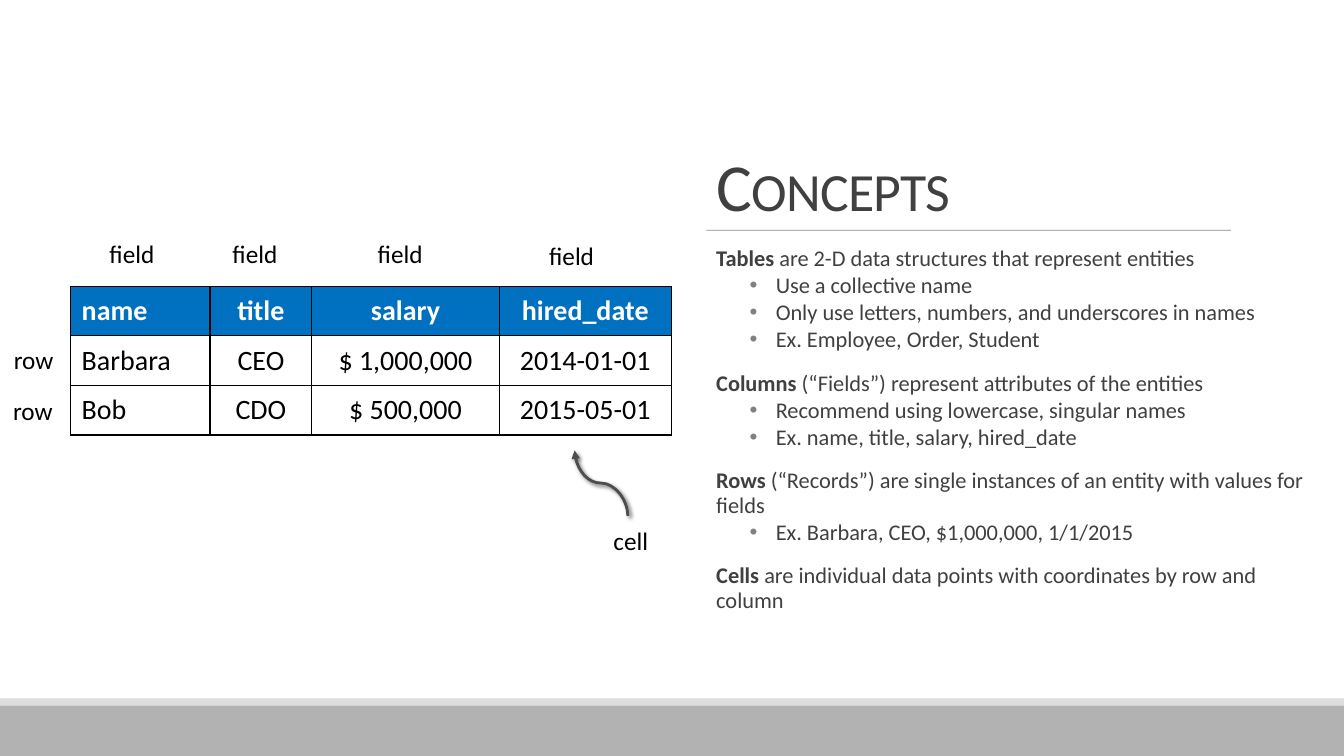
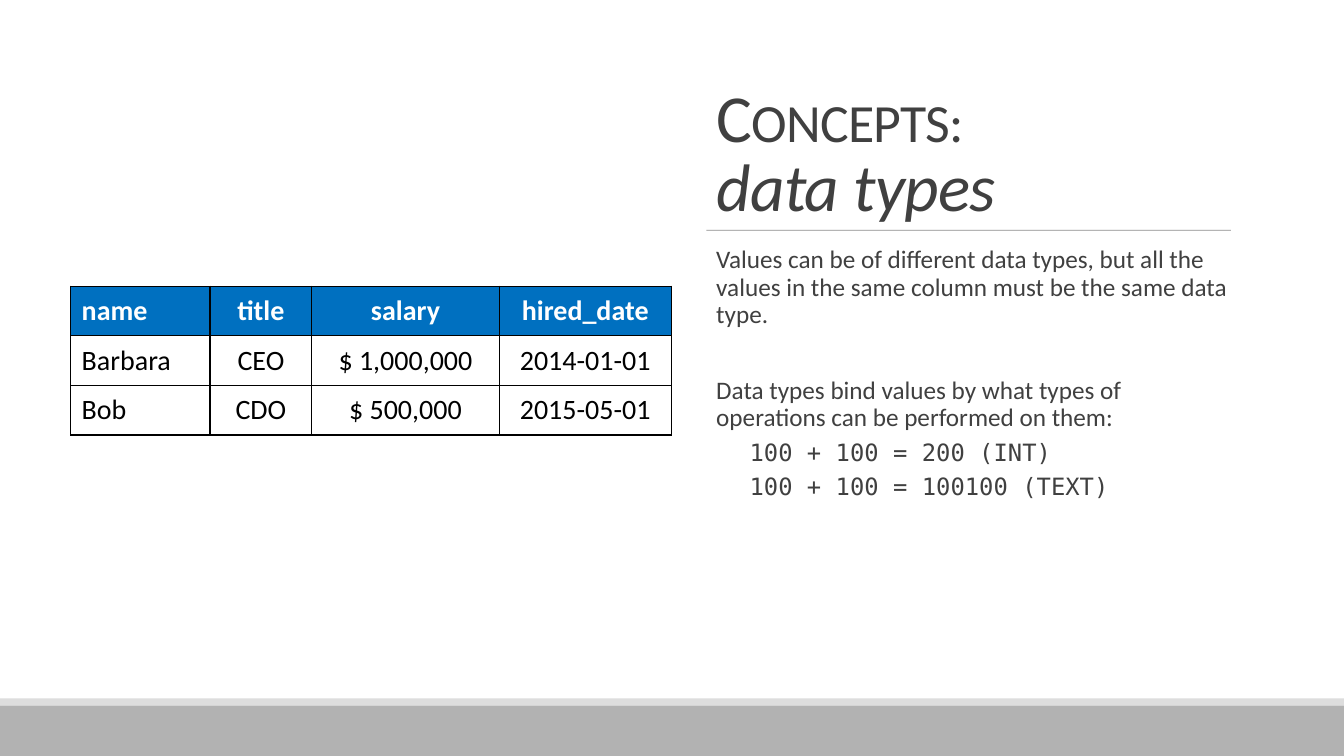
"""Build two slides on database concepts: tables, fields, rows, cells and data types."""
from lxml import etree
from pptx import Presentation
from pptx.dml.color import RGBColor
from pptx.enum.shapes import MSO_CONNECTOR, MSO_SHAPE
from pptx.enum.text import MSO_ANCHOR, MSO_AUTO_SIZE, PP_ALIGN
from pptx.oxml.ns import qn
from pptx.util import Cm, Pt

RECTANGLE = MSO_SHAPE.RECTANGLE
STRAIGHT, CURVE = MSO_CONNECTOR.STRAIGHT, MSO_CONNECTOR.CURVE
LEFT, CENTER = PP_ALIGN.LEFT, PP_ALIGN.CENTER
BOTTOM, MIDDLE, TOP = MSO_ANCHOR.BOTTOM, MSO_ANCHOR.MIDDLE, MSO_ANCHOR.TOP
NO_AUTOFIT = MSO_AUTO_SIZE.NONE

BLACK = RGBColor(0x00, 0x00, 0x00)
WHITE = RGBColor(0xFF, 0xFF, 0xFF)
TEXT_GREY = RGBColor(0x40, 0x40, 0x40)
ARROW_GREY = RGBColor(0x4D, 0x4D, 0x4D)
RULE_GREY = RGBColor(0x80, 0x80, 0x80)
BAND_GREY = RGBColor(0xB2, 0xB2, 0xB2)
EDGE_GREY = RGBColor(0xDD, 0xDD, 0xDD)
HEADER_BLUE = RGBColor(0x00, 0x70, 0xC0)

SANS, MONO = "Calibri", "DejaVu Sans Mono"
SLIDE_WIDTH, SLIDE_HEIGHT = 33.87, 19.05
TEXT_LEFT, RULE_TOP, RULE_RIGHT = 17.8, 5.8, 31.02
BANDS = [(17.6, 0.18, EDGE_GREY), (17.78, 1.27, BAND_GREY)]

EMPLOYEES = [
    ("name", "title", "salary", "hired_date"),
    ("Barbara", "CEO", "$ 1,000,000", "2014-01-01"),
    ("Bob", "CDO", "$ 500,000", "2015-05-01"),
]
TABLE_LEFT, TABLE_TOP, ROW_HEIGHT = 1.78, 7.21, 1.25
COLUMN_WIDTHS = [3.51, 2.57, 4.72, 4.34]

TABLE_LABELS = [
    ("cell", 15.21, 13.11, 1.4),
    ("row", 0.1, 8.56, 1.52),
    ("row", 0.08, 9.83, 1.52),
    ("field", 2.51, 5.89, 1.98),
    ("field", 5.61, 5.89, 1.98),
    ("field", 9.27, 5.89, 1.98),
    ("field", 13.59, 5.92, 1.98),
]
CELL_ARROW = {"start": (15.82, 13.0), "end": (14.48, 11.35)}

STYLES = {
    "term": {"size": 16, "indent": 0.25, "before": 12, "after": 2},
    "point": {"size": 16, "level": 1, "indent": 1.75, "hanging": 0.66, "after": 2},
    "statement": {"size": 18, "indent": 0.25, "before": 31, "after": 4},
    "code": {"size": 17, "font": MONO, "level": 1, "indent": 1.09, "before": 2, "after": 4},
}

CONCEPTS = {
    "title": [("Concepts", True)],
    "body_width": 15.14,
    "body": [
        ("term", "Tables", " are 2-D data structures that represent entities"),
        ("point", "", "Use a collective name"),
        ("point", "", "Only use letters, numbers, and underscores in names"),
        ("point", "", "Ex. Employee, Order, Student"),
        ("term", "Columns", " (“Fields”) represent attributes of the entities"),
        ("point", "", "Recommend using lowercase, singular names"),
        ("point", "", "Ex. name, title, salary, hired_date"),
        ("term", "Rows", " (“Records”) are single instances of an entity with values for fields"),
        ("point", "", "Ex. Barbara, CEO, $1,000,000, 1/1/2015"),
        ("term", "Cells", " are individual data points with coordinates by row and column"),
    ],
}
DATA_TYPES = {
    "title": [("Concepts:", True), ("data types", False)],
    "body_width": 13.2,
    "body": [
        ("statement", "", "Values can be of different data types, but all the values "
                          "in the same column must be the same data type."),
        ("statement", "", "Data types bind values by what types of operations "
                          "can be performed on them:"),
        ("code", "", "100 + 100 = 200 (INT)"),
        ("code", "", "100 + 100 = 100100 (TEXT)"),
    ],
}


def add_xml(parent, tag, **attributes):
    return etree.SubElement(parent, qn(tag), attributes)


def write(paragraph, text, *, size, color=BLACK, font=SANS, bold=False, italic=False,
          align=LEFT, small_caps=False, tracking=0):
    paragraph.alignment = align
    run = paragraph.add_run()
    run.text = text
    run.font.name, run.font.size = font, Pt(size)
    run.font.bold, run.font.italic = bold, italic
    run.font.color.rgb = color
    properties = run.font._element if hasattr(run.font, "_element") else run._r.get_or_add_rPr()
    if small_caps:
        properties.set("cap", "small")
    if tracking:
        properties.set("spc", str(int(tracking * 100)))


def place(shape, left, top, width, height):
    shape.left, shape.top = Cm(left), Cm(top)
    shape.width, shape.height = Cm(width), Cm(height)


def add_line(slide, kind, start, end, color, width):
    line = slide.shapes.add_connector(kind, *(Cm(value) for value in (*start, *end)))
    line.line.color.rgb = color
    line.line.width = Pt(width)
    return line, add_xml(line.element.spPr, "a:effectLst")


def add_title(slide, lines):
    title = slide.shapes.title
    place(title, TEXT_LEFT, 1.75, 14.25, 4.05)
    frame = title.text_frame
    frame.vertical_anchor, frame.auto_size = BOTTOM, NO_AUTOFIT
    paragraph = frame.paragraphs[0]
    paragraph.line_spacing = 0.85
    for index, (text, is_topic) in enumerate(lines):
        if index:
            paragraph.add_line_break()
        write(paragraph, text, size=48, color=TEXT_GREY, small_caps=is_topic,
              italic=not is_topic, tracking=-0.5)


def add_body(slide, entries, width):
    body = slide.placeholders[1]
    place(body, TEXT_LEFT, 6.1, width, 10.77)
    frame = body.text_frame
    frame.margin_left = frame.margin_right = 0
    frame.vertical_anchor, frame.auto_size = TOP, NO_AUTOFIT
    for index, (kind, lead, rest) in enumerate(entries):
        style = STYLES[kind]
        paragraph = frame.add_paragraph() if index else frame.paragraphs[0]
        paragraph.level = style.get("level", 0)
        paragraph.line_spacing = 0.9
        paragraph.space_before = Pt(style.get("before", 0) if index else 0)
        paragraph.space_after = Pt(style["after"])
        properties = paragraph._p.get_or_add_pPr()
        hanging = style.get("hanging", 0)
        properties.set("marL", str(Cm(style["indent"])))
        properties.set("indent", str(-Cm(hanging)))
        if hanging:
            add_xml(add_xml(properties, "a:buClr"), "a:srgbClr", val=str(RULE_GREY))
            add_xml(properties, "a:buChar", char="•")
        else:
            add_xml(properties, "a:buNone")
        for text, bold in ((lead, True), (rest, False)):
            if text:
                write(paragraph, text, size=style["size"], color=TEXT_GREY,
                      font=style.get("font", SANS), bold=bold)


def add_frame(slide):
    rule, _ = add_line(slide, STRAIGHT, (TEXT_LEFT, RULE_TOP), (RULE_RIGHT, RULE_TOP),
                       RULE_GREY, 0.5)
    add_xml(rule.element.spPr.find(".//" + qn("a:srgbClr")), "a:alpha", val="90000")
    for top, height, color in BANDS:
        band = slide.shapes.add_shape(RECTANGLE, 0, Cm(top), Cm(SLIDE_WIDTH), Cm(height))
        band.shadow.inherit = False
        band.fill.solid()
        band.fill.fore_color.rgb = color
        band.line.fill.background()


def add_employee_table(slide):
    table = slide.shapes.add_table(
        len(EMPLOYEES), len(COLUMN_WIDTHS), Cm(TABLE_LEFT), Cm(TABLE_TOP),
        Cm(sum(COLUMN_WIDTHS)), Cm(ROW_HEIGHT * len(EMPLOYEES))).table
    table.horz_banding = False
    for column, width in zip(table.columns, COLUMN_WIDTHS):
        column.width = Cm(width)
    for row_index, record in enumerate(EMPLOYEES):
        table.rows[row_index].height = Cm(ROW_HEIGHT)
        is_header = row_index == 0
        for column_index, value in enumerate(record):
            cell = table.cell(row_index, column_index)
            cell.vertical_anchor = MIDDLE
            cell.margin_left = cell.margin_right = Cm(0.28)
            cell.margin_top = cell.margin_bottom = Cm(0.14)
            for side in ("a:lnL", "a:lnR", "a:lnT", "a:lnB"):
                border = add_xml(cell._tc.get_or_add_tcPr(), side, w=str(Pt(1)))
                add_xml(add_xml(border, "a:solidFill"), "a:srgbClr", val=str(BLACK))
            if is_header:
                cell.fill.solid()
                cell.fill.fore_color.rgb = HEADER_BLUE
            else:
                cell.fill.background()
            write(cell.text_frame.paragraphs[0], value, size=20, bold=is_header,
                  color=WHITE if is_header else BLACK,
                  align=CENTER if column_index else LEFT)


def add_cell_arrow(slide):
    (start_x, start_y), (end_x, end_y) = CELL_ARROW["start"], CELL_ARROW["end"]
    middle_x, middle_y = (start_x + end_x) / 2, (start_y + end_y) / 2
    half_run, half_rise = (start_y - end_y) / 2, (start_x - end_x) / 2
    arrow, effects = add_line(slide, CURVE, (middle_x - half_run, middle_y + half_rise),
                              (middle_x + half_run, middle_y - half_rise), ARROW_GREY, 2)
    properties = arrow.element.spPr
    properties.find(qn("a:xfrm")).set("rot", str(270 * 60000))
    add_xml(properties.find(qn("a:ln")), "a:tailEnd", type="triangle")
    shadow = add_xml(effects, "a:outerShdw", blurRad=str(Pt(3)), dist=str(Pt(2)),
                     dir=str(45 * 60000), rotWithShape="0")
    add_xml(add_xml(shadow, "a:srgbClr", val=str(BLACK)), "a:alpha", val="60000")


def add_table_labels(slide):
    for text, left, top, width in TABLE_LABELS:
        label = slide.shapes.add_textbox(Cm(left), Cm(top), Cm(width), Cm(1.02))
        label.text_frame.word_wrap = True
        write(label.text_frame.paragraphs[0], text, size=18)


def add_concept_slide(presentation, content):
    slide = presentation.slides.add_slide(presentation.slide_layouts[1])
    add_title(slide, content["title"])
    add_body(slide, content["body"], content["body_width"])
    add_frame(slide)
    add_employee_table(slide)
    return slide


def main():
    presentation = Presentation()
    presentation.slide_width, presentation.slide_height = Cm(SLIDE_WIDTH), Cm(SLIDE_HEIGHT)
    concepts = add_concept_slide(presentation, CONCEPTS)
    add_cell_arrow(concepts)
    add_table_labels(concepts)
    add_concept_slide(presentation, DATA_TYPES)
    presentation.save("out.pptx")


if __name__ == "__main__":
    main()
